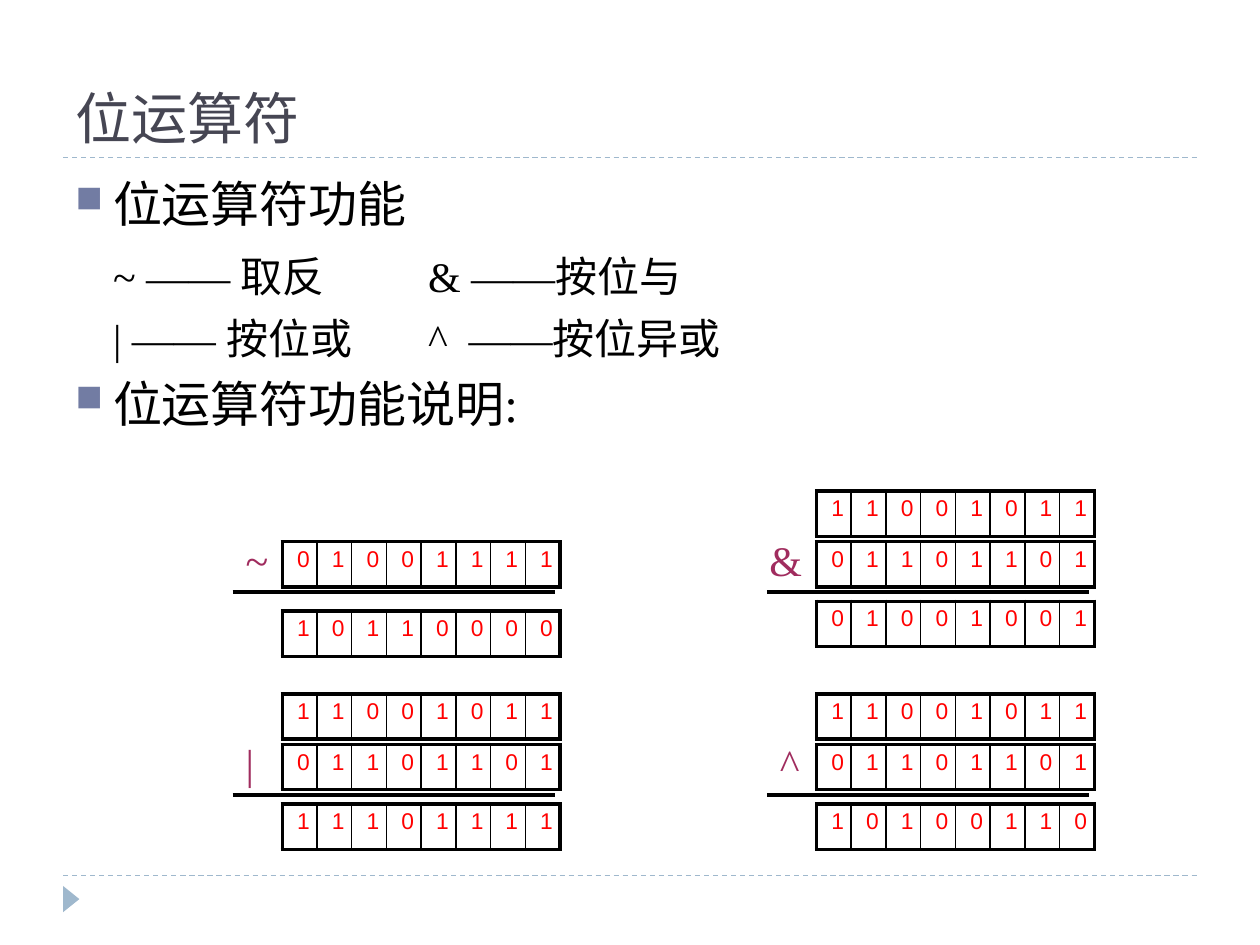
import dataclasses

import pptx
import pptx.dml.color
import pptx.enum.dml
import pptx.enum.shapes
import pptx.enum.text
import pptx.oxml
import pptx.oxml.ns
import pptx.util

Cm, Pt = pptx.util.Cm, pptx.util.Pt


@dataclasses.dataclass(frozen=True)
class Theme:
    title: str = "464653"
    ink: str = "000000"
    accent: str = "9FB8CD"
    bullet: str = "727CA3"
    operator: str = "A02C5E"
    bit: str = "FF0000"
    sans: str = "Arial"
    serif: str = "Times New Roman"
    title_size: float = 32
    heading_size: float = 28
    detail_size: float = 24
    bit_size: float = 13
    heavy: float = 2.25
    thin: float = 1
    hairline: float = 0.75


def xml(source):
    return pptx.oxml.parse_xml(source.replace(">", f' {pptx.oxml.ns.nsdecls("a")}>', 1))


def rgb(color):
    return pptx.dml.color.RGBColor.from_string(color)


class Page:
    def __init__(self, deck, theme):
        self.theme = theme
        self.slide = deck.slides.add_slide(deck.slide_layouts[6])

    def style(self, span, size, font, color):
        span.font.size = Pt(size)
        span.font.name = font
        span.font.color.rgb = rgb(color)

    def line(self, left, top, length, color, weight, dashed=False):
        line = self.slide.shapes.add_connector(
            pptx.enum.shapes.MSO_CONNECTOR.STRAIGHT, Cm(left), Cm(top), Cm(left + length), Cm(top))
        line.line.color.rgb = rgb(color)
        line.line.width = Pt(weight)
        if dashed:
            line.line.dash_style = pptx.enum.dml.MSO_LINE.DASH
        line._element.spPr.append(xml("<a:effectLst></a:effectLst>"))

    def marker(self, left, top, width, height):
        """Small triangle in the footer, pointing right."""
        marker = self.slide.shapes.add_shape(
            pptx.enum.shapes.MSO_SHAPE.ISOSCELES_TRIANGLE, Cm(left), Cm(top), Cm(width), Cm(height))
        marker.rotation = 90
        marker.shadow.inherit = False
        marker.fill.solid()
        marker.fill.fore_color.rgb = rgb(self.theme.accent)
        marker.line.fill.background()

    def frame(self, left, top, width, height):
        """Add a wrapping text box and return its text frame."""
        box = self.slide.shapes.add_textbox(Cm(left), Cm(top), Cm(width), Cm(height))
        box.text_frame.word_wrap = True
        return box.text_frame

    def title(self, text, *place):
        frame = self.frame(*place)
        frame.vertical_anchor = pptx.enum.text.MSO_ANCHOR.BOTTOM
        frame.text = text
        self.style(frame.paragraphs[0].runs[0], self.theme.title_size, self.theme.sans, self.theme.title)

    def body(self, rows, *place):
        """Each row is a bullet flag and its (text, size) spans."""
        frame = self.frame(*place)
        for index, (bulleted, spans) in enumerate(rows):
            para = frame.add_paragraph() if index else frame.paragraphs[0]
            para.space_before = Pt(6)
            for text, size in spans:
                span = para.add_run()
                span.text = text
                self.style(span, size, self.theme.serif, self.theme.ink)
            properties = para._p.get_or_add_pPr()
            properties.set("marL", str(Cm(0.76)))
            properties.set("indent", str(-Cm(0.76)))
            if bulleted:
                for source in (f'<a:buClr><a:srgbClr val="{self.theme.bullet}"/></a:buClr>',
                               '<a:buSzPct val="76000"></a:buSzPct>',
                               '<a:buChar char="■"></a:buChar>'):
                    properties.append(xml(source))

    def operator(self, text, *place):
        frame = self.frame(*place)
        frame.margin_left = frame.margin_right = Cm(0.3)
        frame.margin_top = frame.margin_bottom = Cm(0.15)
        frame.text = text
        self.style(frame.paragraphs[0].runs[0], self.theme.detail_size, self.theme.serif, self.theme.operator)

    def register(self, bits, left, top, width=5.51, height=0.91):
        """One-row table with a bit in each cell and a heavy outline."""
        table = self.slide.shapes.add_table(
            1, len(bits), Cm(left), Cm(top), Cm(width), Cm(height)).table
        table.first_row = table.horz_banding = False
        last = len(bits) - 1
        for index, bit in enumerate(bits):
            cell = table.cell(0, index)
            cell.margin_left = cell.margin_right = Cm(0.3)
            cell.margin_top = cell.margin_bottom = Cm(0.15)
            cell.fill.background()
            cell.text_frame.text = bit
            para = cell.text_frame.paragraphs[0]
            para.alignment = pptx.enum.text.PP_ALIGN.CENTER
            para.line_spacing = 0.9
            self.style(para.runs[0], self.theme.bit_size, self.theme.sans, self.theme.bit)
            outer = {"L": index == 0, "R": index == last, "T": True, "B": True}
            for position, (side, heavy) in enumerate(outer.items()):
                weight = Pt(self.theme.heavy if heavy else self.theme.thin)
                cell._tc.get_or_add_tcPr().insert(position, xml(
                    f'<a:ln{side} w="{weight}"><a:solidFill><a:srgbClr val="{self.theme.ink}"/>'
                    f'</a:solidFill></a:ln{side}>'))

    def calculation(self, symbol, operands, result, left, rule, symbol_shift=1.04, result_gap=0.18):
        """Operands stacked above a rule, the result below it."""
        for level, bits in enumerate(reversed(operands), 1):
            self.register(bits, left, rule - 1.02 * level)
        self.line(left - 1, rule, 6.5, self.theme.ink, self.theme.heavy)
        self.operator(symbol, left - symbol_shift, rule - 1.32, 1.3, 1.32)
        self.register(result, left, rule + result_gap)


def main():
    deck = pptx.Presentation()
    deck.slide_width, deck.slide_height = Cm(25.4), Cm(19.05)
    theme = Theme()
    page = Page(deck, theme)

    for top in (17.65, 3.18):
        page.line(1.27, top, 22.86, theme.accent, theme.hairline, dashed=True)
    page.marker(1.17, 17.96, 0.53, 0.33)
    page.title("位运算符", 1.27, 0.43, 22.86, 2.74)
    heading, detail = theme.heading_size, theme.detail_size
    page.body([
        (True, [("位运算符功能", heading)]),
        (False, [("\t", heading), ("~ —— 取反\t\t& ——按位与", detail)]),
        (False, [("\t| —— 按位或\t\t^  ——按位异或", detail)]),
        (True, [("位运算符功能说明:", heading)]),
    ], 1.27, 3.38, 22.86, 13.64)

    left_column, right_column = 5.69, 16.46
    upper_rule, lower_rule = 11.94, 16.03
    pair = ("11001011", "01101101")
    page.calculation("~", ["01001111"], "10110000", left_column, upper_rule, result_gap=0.38)
    page.calculation("&", pair, "01001001", right_column, upper_rule, symbol_shift=1.25)
    page.calculation("|", pair, "11101111", left_column, lower_rule)
    page.calculation("^", pair, "10100110", right_column, lower_rule)

    deck.save("out.pptx")


if __name__ == "__main__":
    main()
